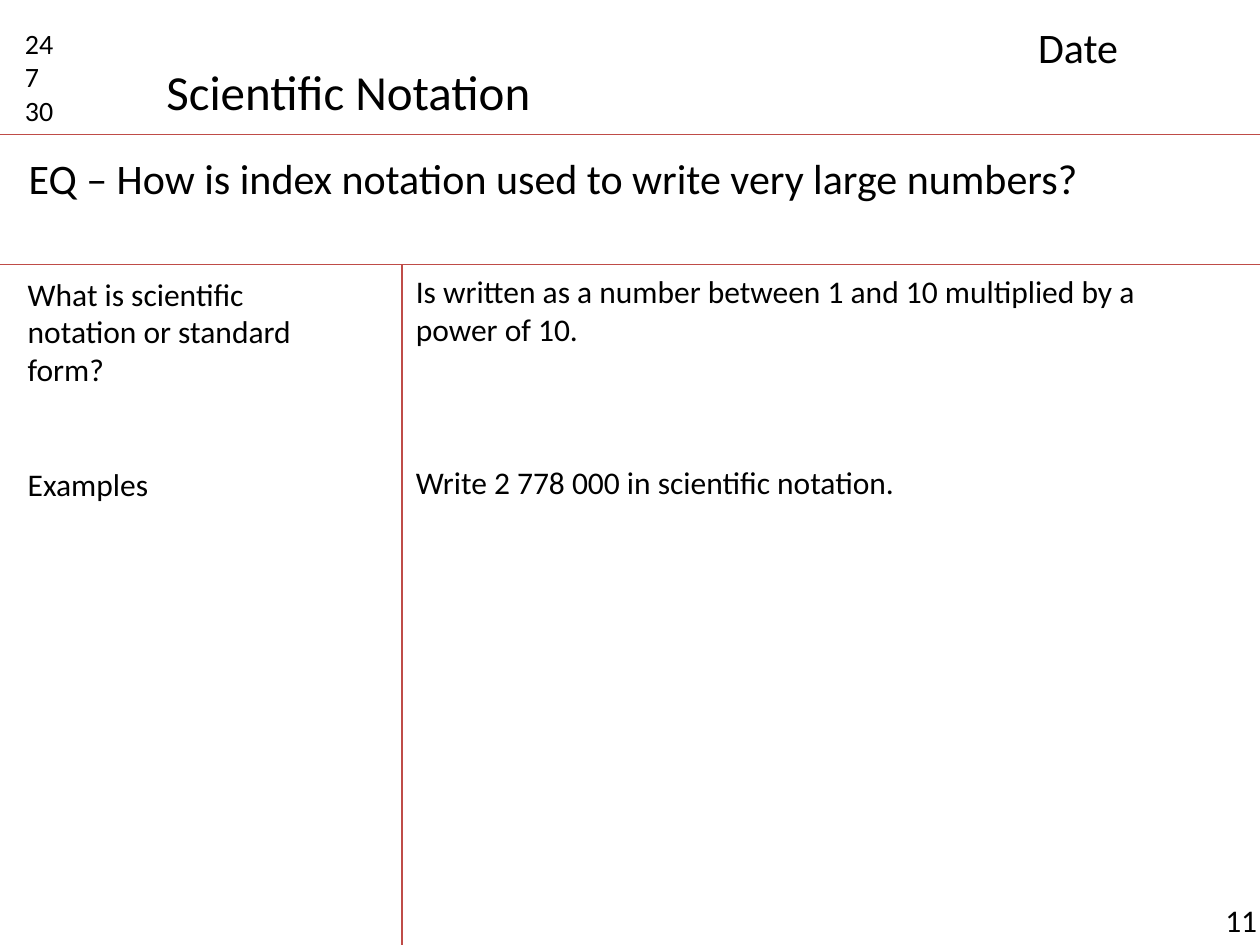
from dataclasses import dataclass

from lxml.etree import SubElement
from pptx import Presentation
from pptx.dml.color import RGBColor
from pptx.enum.shapes import MSO_CONNECTOR
from pptx.enum.text import MSO_ANCHOR, MSO_AUTO_SIZE, PP_ALIGN
from pptx.oxml.ns import qn
from pptx.util import Inches, Pt


@dataclass(frozen=True)
class Theme:
    font: str = "Calibri"
    text: RGBColor = RGBColor(0, 0, 0)
    rule: RGBColor = RGBColor(0xBF, 0x4C, 0x48)
    rule_width: float = 0.75
    title: int = 28
    heading: int = 24
    body: int = 18
    small: int = 16


@dataclass(frozen=True)
class Block:
    left: float
    top: float
    width: float
    height: float
    size: int
    lines: tuple[str, ...]
    gap: float = 0  # points between paragraphs
    wrap: bool = True
    right_inset: float = 0.1


@dataclass(frozen=True)
class Rule:
    x1: float
    y1: float
    x2: float
    y2: float


THEME = Theme()
WIDTH, HEIGHT = 10, 7.5
HEADER_Y, NOTES_Y, DIVIDER_X = 1.07, 2.1, 3.19

TITLE = Block(1.22, 0.44, 3.13, 0.57, THEME.title, ("Scientific Notation",), wrap=False)
QUESTIONS = Block(0.12, 2.13, 2.83, 1.92, THEME.body,
                  ("What is scientific notation or standard form?", "Examples"), gap=44)
NOTES = Block(3.2, 2.11, 6.6, 2.22, THEME.body,
              ("Is written as a number between 1 and 10 multiplied by a power of 10.",
               "Write 2 778 000 in scientific notation."), gap=66)
LABELS = (
    Block(9.57, 7.1, 0.43, 0.4, THEME.body, (" 11",), right_inset=0),
    Block(0.1, 0.16, 0.63, 0.91, THEME.small, ("24", "7", "30")),
    Block(8.14, 0.12, 1.73, 0.5, THEME.heading, ("Date",)),
    Block(0.13, 1.16, 9.43, 0.5, THEME.heading,
          ("EQ – How is index notation used to write very large numbers?",)),
)
RULES = (
    Rule(0, HEADER_Y, WIDTH, HEADER_Y),
    Rule(0, NOTES_Y, WIDTH, NOTES_Y),
    Rule(DIVIDER_X, NOTES_Y, DIVIDER_X, HEIGHT),
)


def fill_text(sp, block: Block) -> None:
    """Place a text shape and write its paragraphs."""
    sp.left, sp.top = Inches(block.left), Inches(block.top)
    sp.width, sp.height = Inches(block.width), Inches(block.height)
    tf = sp.text_frame
    tf.word_wrap = block.wrap
    tf.auto_size = MSO_AUTO_SIZE.NONE
    tf.vertical_anchor = MSO_ANCHOR.TOP
    tf.margin_left, tf.margin_right = Inches(0.1), Inches(block.right_inset)
    tf.margin_top = tf.margin_bottom = Inches(0.05)
    for i, line in enumerate(block.lines):
        p = tf.add_paragraph() if i else tf.paragraphs[0]
        p.alignment = PP_ALIGN.LEFT
        p.space_before = Pt(block.gap if i else 0)
        if sp.is_placeholder:
            pPr = p._p.get_or_add_pPr()
            pPr.set("marL", "0")
            pPr.set("indent", "0")
            SubElement(pPr, qn("a:buNone"))
        r = p.add_run()
        r.text = line
        r.font.name = THEME.font
        r.font.size = Pt(block.size)
        r.font.color.rgb = THEME.text


def draw_rule(shapes, rule: Rule) -> None:
    """Draw one ruled line of the note page."""
    line = shapes.add_connector(MSO_CONNECTOR.STRAIGHT, Inches(rule.x1), Inches(rule.y1),
                                Inches(rule.x2), Inches(rule.y2))
    line.line.color.rgb = THEME.rule
    line.line.width = Pt(THEME.rule_width)
    SubElement(line._element.spPr, qn("a:effectLst"))


def main() -> None:
    prs = Presentation()
    prs.slide_width, prs.slide_height = Inches(WIDTH), Inches(HEIGHT)
    s = prs.slides.add_slide(prs.slide_layouts.get_by_name("Two Content"))

    # Page rules
    for rule in RULES:
        draw_rule(s.shapes, rule)

    # Title and the two note columns
    fill_text(s.shapes.title, TITLE)
    for idx, block in ((1, QUESTIONS), (2, NOTES)):
        fill_text(s.placeholders[idx], block)

    # Header labels, essential question and page number
    for block in LABELS:
        box = s.shapes.add_textbox(0, 0, Inches(1), Inches(1))
        fill_text(box, block)

    prs.save("out.pptx")


if __name__ == "__main__":
    main()
